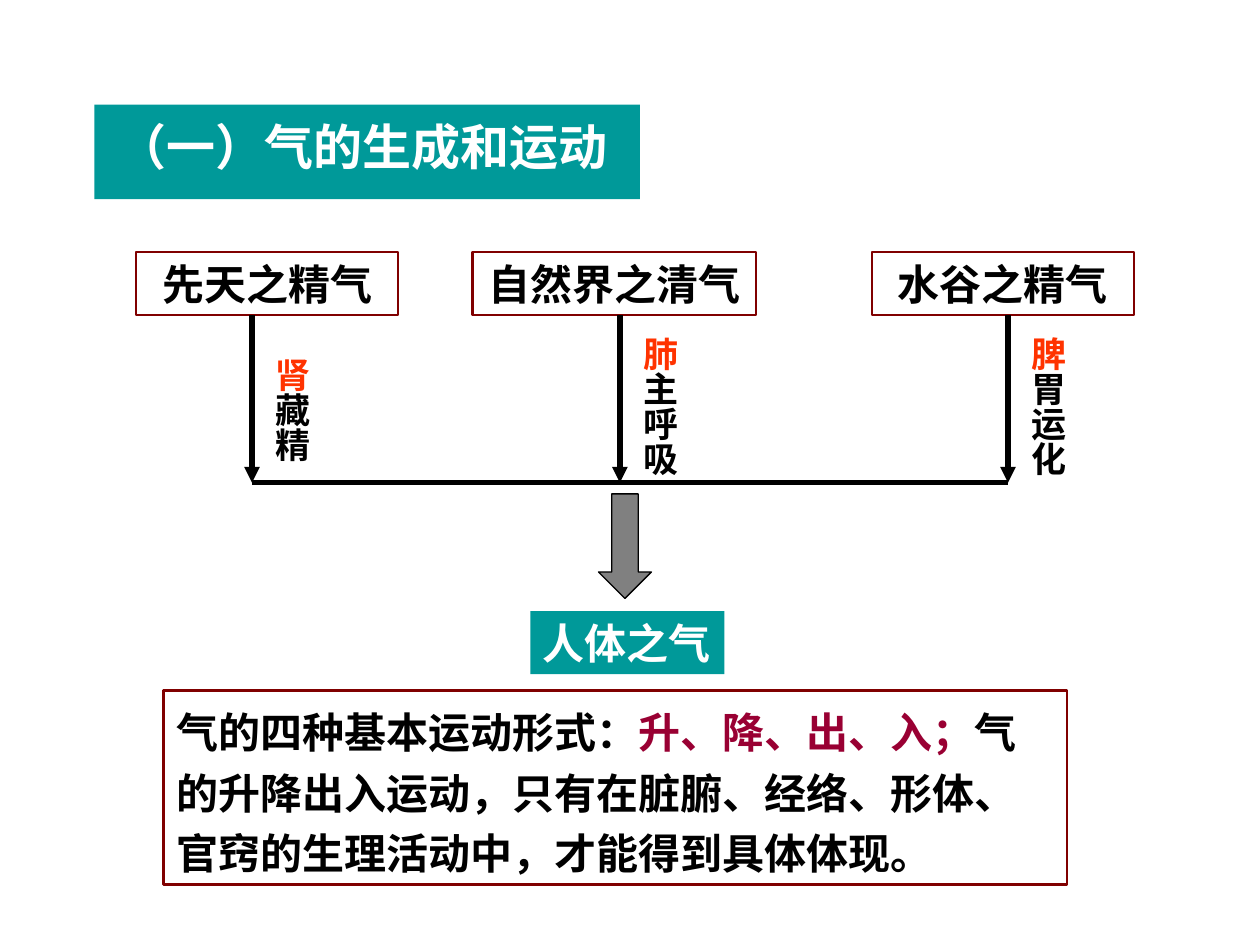
from typing import NamedTuple, Optional

from lxml.etree import SubElement
from pptx import Presentation
from pptx.dml.color import RGBColor
from pptx.enum.shapes import MSO_CONNECTOR as Connector, MSO_SHAPE as Shape
from pptx.enum.text import MSO_ANCHOR as Anchor, MSO_AUTO_SIZE as AutoSize, PP_ALIGN as Align
from pptx.oxml.ns import qn
from pptx.util import Inches, Pt

TEAL = RGBColor(0x00, 0x99, 0x99)
MAROON = RGBColor(0x80, 0x00, 0x00)
ORANGE = RGBColor(0xFF, 0x33, 0x00)
CRIMSON = RGBColor(0x99, 0x00, 0x33)
GRAY = RGBColor(0x80, 0x80, 0x80)
BLACK = RGBColor(0x00, 0x00, 0x00)
WHITE = RGBColor(0xFF, 0xFF, 0xFF)

BODY_FONT = "Times New Roman"
CLOSING_FONT = "TeX Gyre Bonum"
SOURCE_TOP, SOURCE_HEIGHT = 2.0, 0.5
SOURCE_BOTTOM = SOURCE_TOP + SOURCE_HEIGHT
MERGE_Y = 3.83
LABEL_WIDTH = 0.53


class Span(NamedTuple):
    text: str
    color: RGBColor = BLACK
    font: str = BODY_FONT


class Source(NamedTuple):
    name: str
    left: float
    width: float
    arrow_x: float
    organ: str
    function: str
    label_top: float
    label_height: float


SOURCES = [
    Source("先天之精气", 1.08, 2.08, 2, "肾", "藏精", 2.74, 0.94),
    Source("自然界之清气", 3.75, 2.25, 4.92, "肺", "主呼吸", 2.57, 1.22),
    Source("水谷之精气", 6.92, 2.08, 8, "脾", "胃运化", 2.57, 1.22),
]


def write(box, *spans: Span, size: float = 24, align=Align.LEFT, anchor=Anchor.TOP,
          wrap: bool = True, grow: bool = False, line_spacing: Optional[float] = None,
          space_before: float = 0) -> None:
    """Fill a box with one bold paragraph made of the given spans."""
    frame = box.text_frame
    frame.word_wrap = wrap
    frame.vertical_anchor = anchor
    frame.auto_size = AutoSize.SHAPE_TO_FIT_TEXT if grow else AutoSize.NONE
    para = frame.paragraphs[0]
    para.alignment = align
    para.line_spacing = line_spacing
    para.space_before = Pt(space_before)
    for span in spans:
        run = para.add_run()
        run.text = span.text
        run.font.name = span.font
        run.font.size = Pt(size)
        run.font.bold = True
        run.font.color.rgb = span.color


def add_box(page, left: float, top: float, width: float, height: float, *,
            kind=Shape.RECTANGLE, fill: Optional[RGBColor] = None,
            line: Optional[RGBColor] = None, line_width: float = 1.5):
    box = page.shapes.add_shape(kind, Inches(left), Inches(top), Inches(width), Inches(height))
    box.shadow.inherit = False
    if fill is None:
        box.fill.background()
    else:
        box.fill.solid()
        box.fill.fore_color.rgb = fill
    if line is None:
        box.line.fill.background()
    else:
        box.line.color.rgb = line
        box.line.width = Pt(line_width)
    return box


def add_line(page, x1: float, y1: float, x2: float, y2: float, *, arrow: bool = False) -> None:
    line = page.shapes.add_connector(
        Connector.STRAIGHT, Inches(x1), Inches(y1), Inches(x2), Inches(y2))
    line.line.color.rgb = BLACK
    line.line.width = Pt(3)
    if arrow:
        SubElement(line.line._get_or_add_ln(), qn("a:tailEnd"), type="triangle")
    SubElement(line._element.spPr, qn("a:effectLst"))


def add_source(page, source: Source) -> None:
    """Draw a source box, its arrow and the vertical label beside the arrow."""
    box = add_box(page, source.left, SOURCE_TOP, source.width, SOURCE_HEIGHT, line=MAROON)
    write(box, Span(source.name), align=Align.CENTER, anchor=Anchor.MIDDLE, wrap=False)

    label = page.shapes.add_textbox(
        Inches(source.arrow_x), Inches(source.label_top),
        Inches(LABEL_WIDTH), Inches(source.label_height))
    frame = label.text_frame
    frame.margin_left = frame.margin_right = Inches(0.05)
    frame.margin_top = frame.margin_bottom = Inches(0.1)
    frame._txBody.bodyPr.set("vert", "eaVert")
    write(label, Span(source.organ, ORANGE), Span(source.function),
          size=20, wrap=False, grow=True)

    add_line(page, source.arrow_x, SOURCE_BOTTOM, source.arrow_x, MERGE_Y, arrow=True)


def main() -> None:
    deck = Presentation()
    deck.slide_width, deck.slide_height = Inches(10), Inches(7.5)
    page = deck.slides.add_slide(deck.slide_layouts[6])

    title = add_box(page, 0.75, 0.83, 4.33, 0.75, fill=TEAL)
    write(title, Span(" （一）气的生成和运动", WHITE), size=28, line_spacing=1.1, space_before=7)

    for source in SOURCES:
        add_source(page, source)
    add_line(page, SOURCES[0].arrow_x, MERGE_Y, SOURCES[-1].arrow_x, MERGE_Y)

    add_box(page, 4.75, 3.92, 0.42, 0.83, kind=Shape.DOWN_ARROW,
            fill=GRAY, line=BLACK, line_width=0.75)
    result = add_box(page, 4.21, 4.85, 1.54, 0.5, fill=TEAL)
    write(result, Span("人体之气", WHITE), grow=True)

    summary = add_box(page, 1.3, 5.48, 7.17, 1.54, line=MAROON)
    write(summary,
          Span("气的四种基本运动形式："),
          Span("升、降、出、入；", CRIMSON),
          Span("气的升降出入运动，只有在脏腑、经络、形体、官窍的生理活动中，才能得到具体体现。",
               font=CLOSING_FONT),
          grow=True, line_spacing=1.2, space_before=15)

    deck.save("out.pptx")


if __name__ == "__main__":
    main()
